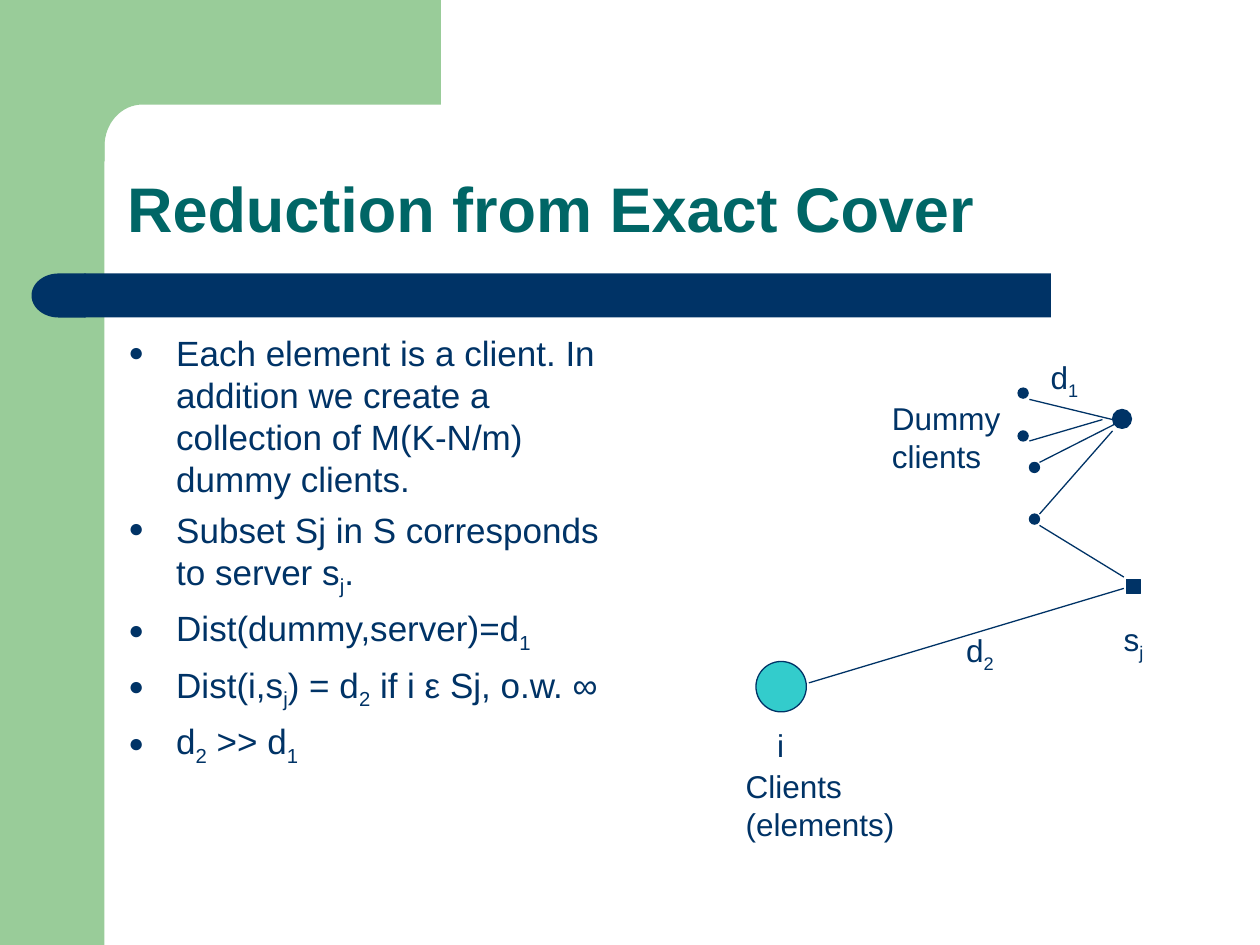
from math import cos, pi, sin
from lxml.etree import SubElement
from pptx import Presentation
from pptx.dml.color import RGBColor
from pptx.enum.shapes import MSO_CONNECTOR, MSO_SHAPE
from pptx.enum.text import MSO_ANCHOR, MSO_AUTO_SIZE
from pptx.oxml.ns import qn
from pptx.util import Inches, Pt

THEME = {
    "font": "Arial",
    "navy": "003366", "green": "99CC99", "teal": "006666", "cyan": "33CCCC",
    "title": 36, "body": 20, "label": 18, "line": 0.75,
}

TITLE = "Reduction from Exact Cover"
POINTS = [
    "Each element is a client. In addition we create a collection of M(K-N/m) dummy clients.",
    "Subset Sj in S corresponds to server s_j.",
    "Dist(dummy,server)=d_1",
    "Dist(i,s_j) = d_2 if i ε Sj, o.w. ∞",
    "d_2 >> d_1",
]
LABELS = [
    (["d_1"], (8.24, 2.79, 0.42, 0.44)),
    (["d_2"], (7.57, 4.96, 0.42, 0.44)),
    (["i"], (6.07, 5.71, 0.25, 0.4)),
    (["s_j"], (8.82, 4.87, 0.36, 0.44)),
    (["Clients (elements)"], (5.82, 6.04, 2.21, 0.4)),
    (["Dummy", "clients"], (6.98, 3.12, 1.06, 0.7)),
]
DUMMY_CLIENTS = [(8.08, 3.08), (8.08, 3.42), (8.17, 3.67), (8.17, 4.08)]
DUMMY_SIZE = 0.08
NODES = [
    (MSO_SHAPE.RECTANGLE, (8.94, 4.6, 0.11, 0.11), "navy"),
    (MSO_SHAPE.OVAL, (8.83, 3.25, 0.15, 0.15), "navy"),
    (MSO_SHAPE.OVAL, (6, 5.25, 0.4, 0.4), "cyan"),
]
EDGES = [
    ((8.17, 3.17), (8.83, 3.33)),
    ((8.17, 3.5), (8.75, 3.33)),
    ((8.25, 3.67), (8.92, 3.33)),
    ((8.25, 4.08), (8.83, 3.42)),
    ((8.25, 4.17), (8.92, 4.58)),
    ((6.42, 5.42), (8.92, 4.67)),
]
CORNER = {"center": (1.13, 1.16), "radii": (0.3, 0.33), "steps": 16}


def color(name):
    return RGBColor.from_string(THEME[name])


def set_values(target, values):
    for name, value in values.items():
        setattr(target, name, value)


def paint(shape, fill, outlined=False):
    shape.shadow.inherit = False
    shape.fill.solid()
    shape.fill.fore_color.rgb = color(fill)
    if outlined:
        shape.line.color.rgb = color("navy")
        shape.line.width = Pt(THEME["line"])
    else:
        shape.line.fill.background()


def add_figure(page, kind, place, fill, outlined=False):
    shape = page.shapes.add_shape(kind, *map(Inches, place))
    paint(shape, fill, outlined)
    return shape


def add_corner(page):
    (x, y), (across, down) = CORNER["center"], CORNER["radii"]
    angles = [pi / 2 * step / CORNER["steps"] for step in range(CORNER["steps"] + 1)]
    arc = [(x - across * sin(angle), y - down * cos(angle)) for angle in angles]
    outline = [(3.5, 0), (3.5, 0.83), *arc, (0.83, 1.28), (0.5, 1.28), (0.5, 0)]
    points = [(Inches(left), Inches(top)) for left, top in outline]
    builder = page.shapes.build_freeform(*points[0], scale=1.0)
    builder.add_line_segments(points[1:], close=True)
    paint(builder.convert_to_shape(), "green")


def add_edge(page, start, end):
    edge = page.shapes.add_connector(MSO_CONNECTOR.STRAIGHT, *map(Inches, start + end))
    edge.line.color.rgb = color("navy")
    edge.line.width = Pt(THEME["line"])
    SubElement(edge._element.spPr, qn("a:effectLst"))


def add_span(para, text, size, ink, bold, lowered=False):
    if not text:
        return
    span = para.add_run()
    span.text = text
    set_values(span.font, {"name": THEME["font"], "size": Pt(THEME[size]), "bold": bold})
    span.font.color.rgb = color(ink)
    if lowered:
        span._r.get_or_add_rPr().set("baseline", "-25000")


def add_text(page, lines, place, size, ink="navy", bold=False, frame=None, spacing=None):
    box = page.shapes.add_textbox(*map(Inches, place))
    set_values(box.text_frame, frame or {"word_wrap": True})
    for index, line in enumerate(lines):
        para = box.text_frame.add_paragraph() if index else box.text_frame.paragraphs[0]
        set_values(para, spacing or {})
        plain, *lowered = line.split("_")
        add_span(para, plain, size, ink, bold)
        for piece in lowered:
            add_span(para, piece[0], size, ink, bold, lowered=True)
            add_span(para, piece[1:], size, ink, bold)
    return box


def add_bullet(para):
    settings = para._p.get_or_add_pPr()
    settings.set("marL", str(Inches(0.38)))
    settings.set("indent", str(Inches(-0.38)))
    SubElement(SubElement(settings, qn("a:buClr")), qn("a:srgbClr"), val=THEME["navy"])
    SubElement(settings, qn("a:buSzPct"), val="75000")
    SubElement(settings, qn("a:buFont"), typeface=THEME["font"])
    SubElement(settings, qn("a:buChar"), char="●")


def main():
    deck = Presentation()
    set_values(deck, {"slide_width": Inches(10), "slide_height": Inches(7.5)})
    page = deck.slides.add_slide(deck.slide_layouts[6])

    add_figure(page, MSO_SHAPE.RECTANGLE, (0, 0, 0.83, 7.5), "green")
    add_corner(page)
    add_figure(page, MSO_SHAPE.RECTANGLE, (0.67, 2.17, 7.67, 0.35), "navy")
    cap = add_figure(page, MSO_SHAPE.FLOWCHART_DELAY, (0.25, 2.17, 0.43, 0.35), "navy")
    cap.rotation = 180

    add_text(page, [TITLE], (0.91, 0.91, 8.51, 1.09), "title", "teal", True,
             {"word_wrap": True, "vertical_anchor": MSO_ANCHOR.BOTTOM},
             {"line_spacing": 0.9})
    body = add_text(page, POINTS, (0.92, 2.58, 4.12, 4.07), "body",
                    spacing={"space_before": Pt(5)})
    for para in body.text_frame.paragraphs:
        add_bullet(para)

    for left, top in DUMMY_CLIENTS:
        add_figure(page, MSO_SHAPE.OVAL, (left, top, DUMMY_SIZE, DUMMY_SIZE), "navy", True)
    for kind, place, fill in NODES:
        add_figure(page, kind, place, fill, True)
    for start, end in EDGES:
        add_edge(page, start, end)
    for lines, place in LABELS:
        add_text(page, lines, place, "label",
                 frame={"word_wrap": False, "auto_size": MSO_AUTO_SIZE.SHAPE_TO_FIT_TEXT})

    deck.save("out.pptx")


if __name__ == "__main__":
    main()
